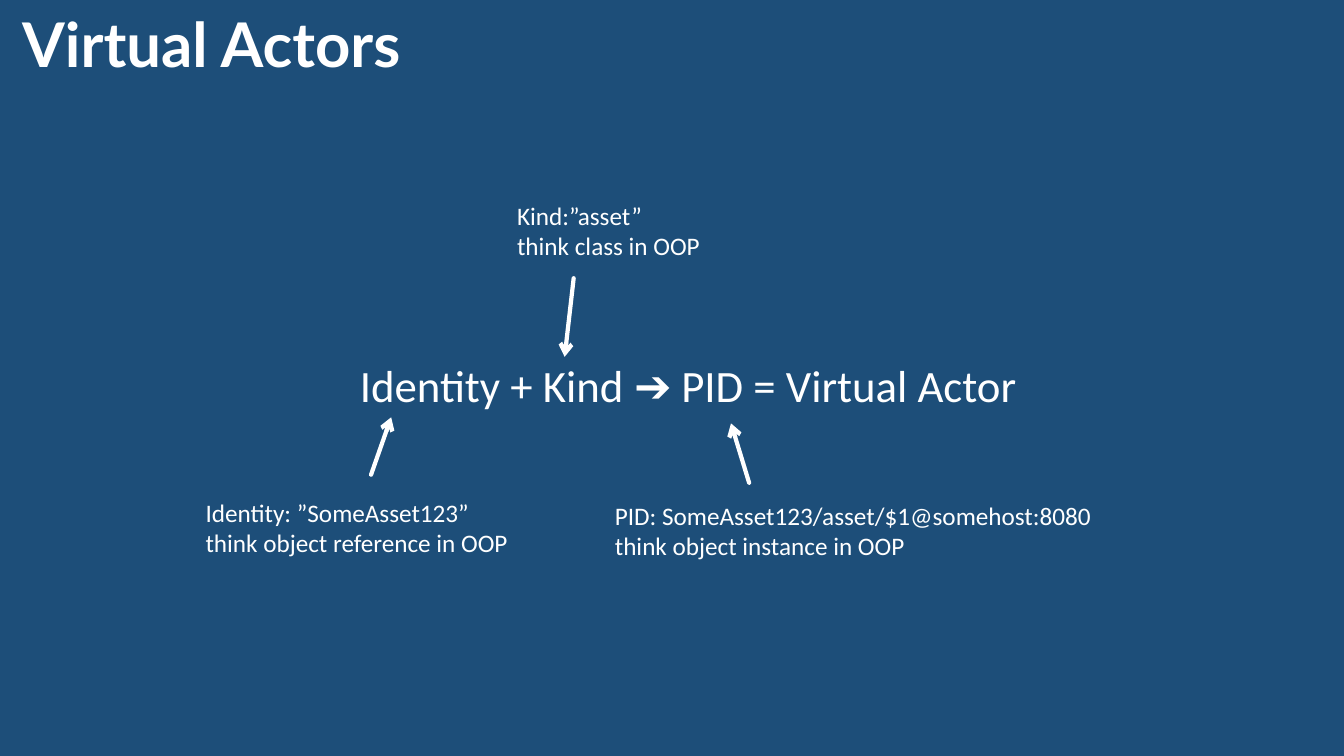
"""Build the Virtual Actors slide: a formula with annotated parts."""
from dataclasses import dataclass

from lxml import etree
from pptx import Presentation
from pptx import util as u
from pptx.dml.color import RGBColor
from pptx.enum import shapes, text
from pptx.oxml.ns import qn
from pptx.slide import Slide
from pptx.text.text import TextFrame

NAVY = RGBColor(0x1D, 0x4E, 0x79)
WHITE = RGBColor(0xFF, 0xFF, 0xFF)


@dataclass
class Label:
    words: str
    left: float
    top: float
    width: float
    height: float = 0.71
    size: int = 18
    wrap: bool = True


@dataclass
class Arrow:
    start: tuple[float, float]
    end: tuple[float, float]


LABELS = [
    Label("Identity + Kind ➔ PID = Virtual Actor", 3.47, 3.5, 7.92, 0.64, 32),
    Label("Identity: ”SomeAsset123”\vthink object reference in OOP",
          1.94, 4.88, 3.24, wrap=False),
    Label("Kind:”asset”\vthink class in OOP", 5.03, 1.94, 3.75),
    Label("PID: SomeAsset123/asset/$1@somehost:8080\vthink object instance in OOP",
          6, 4.91, 4.97, wrap=False),
]
ARROWS = [
    Arrow((3.68, 4.71), (3.88, 4.14)),
    Arrow((5.69, 2.76), (5.6, 3.54)),
    Arrow((7.43, 4.79), (7.25, 4.2)),
]


def write(tf: TextFrame, words: str, font: str, size: int, bold: bool = False) -> None:
    p = tf.paragraphs[0]
    p.text = words
    p.alignment = text.PP_ALIGN.LEFT
    for r in p.runs:
        r.font.name = font
        r.font.size = u.Pt(size)
        r.font.bold = bold
        r.font.color.rgb = WHITE


def add_title(s: Slide, words: str) -> None:
    sp = s.shapes.title
    sp.left, sp.top = u.Inches(0), u.Inches(0.01)
    sp.width, sp.height = u.Inches(13.33), u.Inches(0.84)
    tf = sp.text_frame
    tf.auto_size = text.MSO_AUTO_SIZE.NONE
    tf.vertical_anchor = text.MSO_ANCHOR.TOP
    tf.margin_left = u.Inches(0.22)
    write(tf, words, "Lato", 44, bold=True)


def add_label(s: Slide, label: Label) -> None:
    sp = s.shapes.add_textbox(u.Inches(label.left), u.Inches(label.top),
                              u.Inches(label.width), u.Inches(label.height))
    tf = sp.text_frame
    tf.word_wrap = label.wrap
    tf.auto_size = text.MSO_AUTO_SIZE.SHAPE_TO_FIT_TEXT
    write(tf, label.words, "Calibri", label.size)


def add_arrow(s: Slide, arrow: Arrow) -> None:
    points = [u.Inches(v) for v in (*arrow.start, *arrow.end)]
    sp = s.shapes.add_connector(shapes.MSO_CONNECTOR.STRAIGHT, *points)
    sp.line.color.rgb = WHITE
    sp.line.width = u.Pt(3)
    ln = sp.line._get_or_add_ln()
    ln.set("cap", "rnd")
    etree.SubElement(ln, qn("a:round"))
    etree.SubElement(ln, qn("a:tailEnd"), type="arrow")
    etree.SubElement(ln.getparent(), qn("a:effectLst"))


def main() -> None:
    prs = Presentation()
    prs.slide_width, prs.slide_height = u.Inches(13.33), u.Inches(7.5)
    s = prs.slides.add_slide(prs.slide_layouts.get_by_name("Title Only"))
    s.background.fill.solid()
    s.background.fill.fore_color.rgb = NAVY
    add_title(s, "Virtual Actors")
    for label in LABELS:
        add_label(s, label)
    for arrow in ARROWS:
        add_arrow(s, arrow)
    prs.save("out.pptx")


if __name__ == "__main__":
    main()
